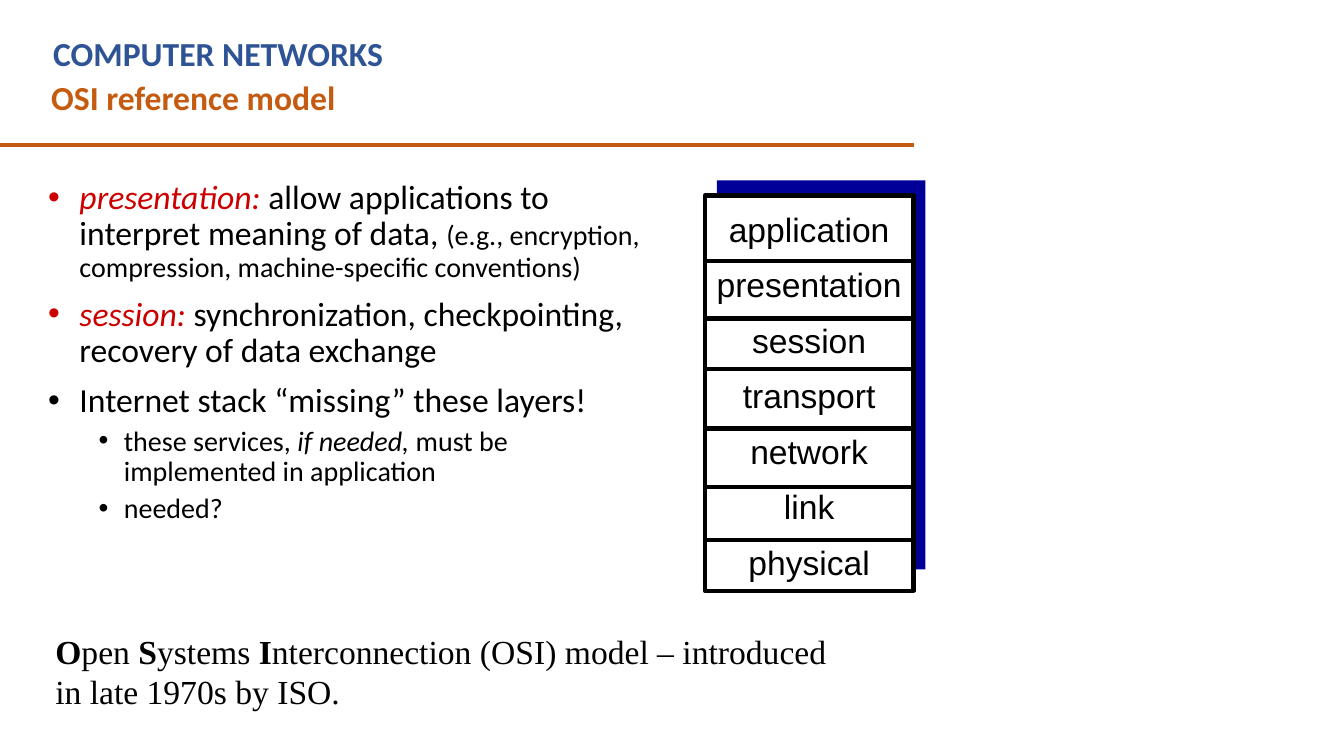
import pptx
import pptx.dml.color
import pptx.enum.shapes
import pptx.enum.text
import pptx.oxml
import pptx.oxml.ns
import pptx.util

Inches = pptx.util.Inches
Pt = pptx.util.Pt
new_element = pptx.oxml.xmlchemy.OxmlElement

BLUE, ORANGE, RED, BLACK = "2F5496", "C55A11", "CC0000", "000000"
LAYERS = ["application", "presentation", "session", "transport",
          "network", "link", "physical"]
DIVIDERS = [2.59, 3.16, 3.66, 4.25, 4.83, 5.36]


def rgb(color):
    return pptx.dml.color.RGBColor.from_string(color)


def add_run(p, text, font="Calibri", size=24, color=BLACK, bold=False, italic=False):
    r = p.add_run()
    r.text = text
    r.font.name = font
    r.font.size = Pt(size)
    r.font.color.rgb = rgb(color)
    r.font.bold = bold
    r.font.italic = italic


def add_bullet(p, color, left, hanging):
    """Give the paragraph a coloured dot and a hanging indent, in inches."""
    pPr = p._p.get_or_add_pPr()
    pPr.set("marL", str(Inches(left)))
    pPr.set("indent", str(-Inches(hanging)))
    clr = new_element("a:buClr")
    srgb = new_element("a:srgbClr")
    srgb.set("val", color)
    clr.append(srgb)
    font = new_element("a:buFont")
    font.set("typeface", "Arial")
    char = new_element("a:buChar")
    char.set("char", "•")
    for element in (clr, font, char):
        pPr.append(element)


class Deck:
    def __init__(self):
        self.prs = pptx.Presentation()
        self.prs.slide_width = Inches(13.33)
        self.prs.slide_height = Inches(7.5)
        self.slide = self.prs.slides.add_slide(self.prs.slide_layouts[6])
        self.line_width = Pt(3)

    def line(self, x1, x2, y, color=BLACK):
        sp = self.slide.shapes.add_connector(
            pptx.enum.shapes.MSO_CONNECTOR.STRAIGHT,
            Inches(x1), Inches(y), Inches(x2), Inches(y))
        sp.line.color.rgb = rgb(color)
        sp.line.width = self.line_width
        sp._element.spPr.append(new_element("a:effectLst"))

    def rect(self, x, y, w, h, fill, outline=None):
        sp = self.slide.shapes.add_shape(
            pptx.enum.shapes.MSO_SHAPE.RECTANGLE,
            Inches(x), Inches(y), Inches(w), Inches(h))
        sp.shadow.inherit = False
        sp.fill.solid()
        sp.fill.fore_color.rgb = rgb(fill)
        if outline:
            sp.line.color.rgb = rgb(outline)
            sp.line.width = self.line_width
        else:
            sp.line.fill.background()

    def text_box(self, x, y, w, h):
        tf = self.slide.shapes.add_textbox(
            Inches(x), Inches(y), Inches(w), Inches(h)).text_frame
        tf.word_wrap = True
        return tf

    def text(self, x, y, w, h, *runs):
        """Add one paragraph; each run is a (text, format) pair."""
        p = self.text_box(x, y, w, h).paragraphs[0]
        for text, style in runs:
            add_run(p, text, **style)

    def bullets(self, x, y, w, h, items):
        """Each item is (level, bullet colour, runs)."""
        tf = self.text_box(x, y, w, h)
        for i, (level, color, runs) in enumerate(items):
            p = tf.add_paragraph() if i else tf.paragraphs[0]
            p.level = level
            add_bullet(p, color, *((0.75, 0.25) if level else (0.31, 0.31)))
            p.line_spacing = 0.9
            if i:
                p.space_before = Pt(5 if level else 10)
            for text, style in runs:
                add_run(p, text, **style)

    def labels(self, x, y, w, h, names):
        """Stack centred names at an equal pitch."""
        tf = self.text_box(x, y, w, h)
        for i, name in enumerate(names):
            p = tf.add_paragraph() if i else tf.paragraphs[0]
            p.alignment = pptx.enum.text.PP_ALIGN.CENTER
            p.line_spacing = 0.7
            if i:
                p.space_before = Pt(19.5)
            add_run(p, name, font="Arial")


def main():
    deck = Deck()
    deck.line(-0.01, 9.07, 1.44, ORANGE)
    deck.text(0.43, 0.28, 8.2, 0.5,
              ("COMPUTER NETWORKS", dict(color=BLUE, bold=True)))
    deck.text(0.41, 0.71, 8.75, 0.5,
              ("OSI reference model", dict(color=ORANGE, bold=True)))

    term = dict(color=RED, italic=True)
    small = dict(size=20)
    deck.bullets(0.38, 1.74, 6.29, 4.43, [
        (0, RED, [
            ("presentation:", term),
            (" allow applications to interpret meaning of data, ", {}),
            ("(e.g., encryption, compression, machine-specific conventions)", small)]),
        (0, RED, [
            ("session:", term),
            (" synchronization, checkpointing, recovery of data exchange", {})]),
        (0, BLACK, [("Internet stack “missing” these layers!", {})]),
        (1, BLACK, [
            ("these services, ", small),
            ("if needed,", dict(size=20, italic=True)),
            (" must be implemented in application", small)]),
        (1, BLACK, [("needed?", small)]),
    ])

    deck.rect(7.11, 1.79, 2.07, 3.86, "000099")
    deck.rect(6.99, 1.94, 2.07, 3.92, "FFFFFF", BLACK)
    deck.labels(6.94, 2.13, 2.17, 3.73, LAYERS)
    for y in DIVIDERS:
        deck.line(6.98, 9.04, y)

    serif = dict(font="Times New Roman")
    initial = dict(serif, bold=True)
    deck.text(0.45, 6.21, 8.18, 0.91,
              ("O", initial), ("pen ", serif),
              ("S", initial), ("ystems ", serif),
              ("I", initial),
              ("nterconnection (OSI) model – introduced in late 1970s by ISO.", serif))
    deck.prs.save("out.pptx")


if __name__ == "__main__":
    main()
